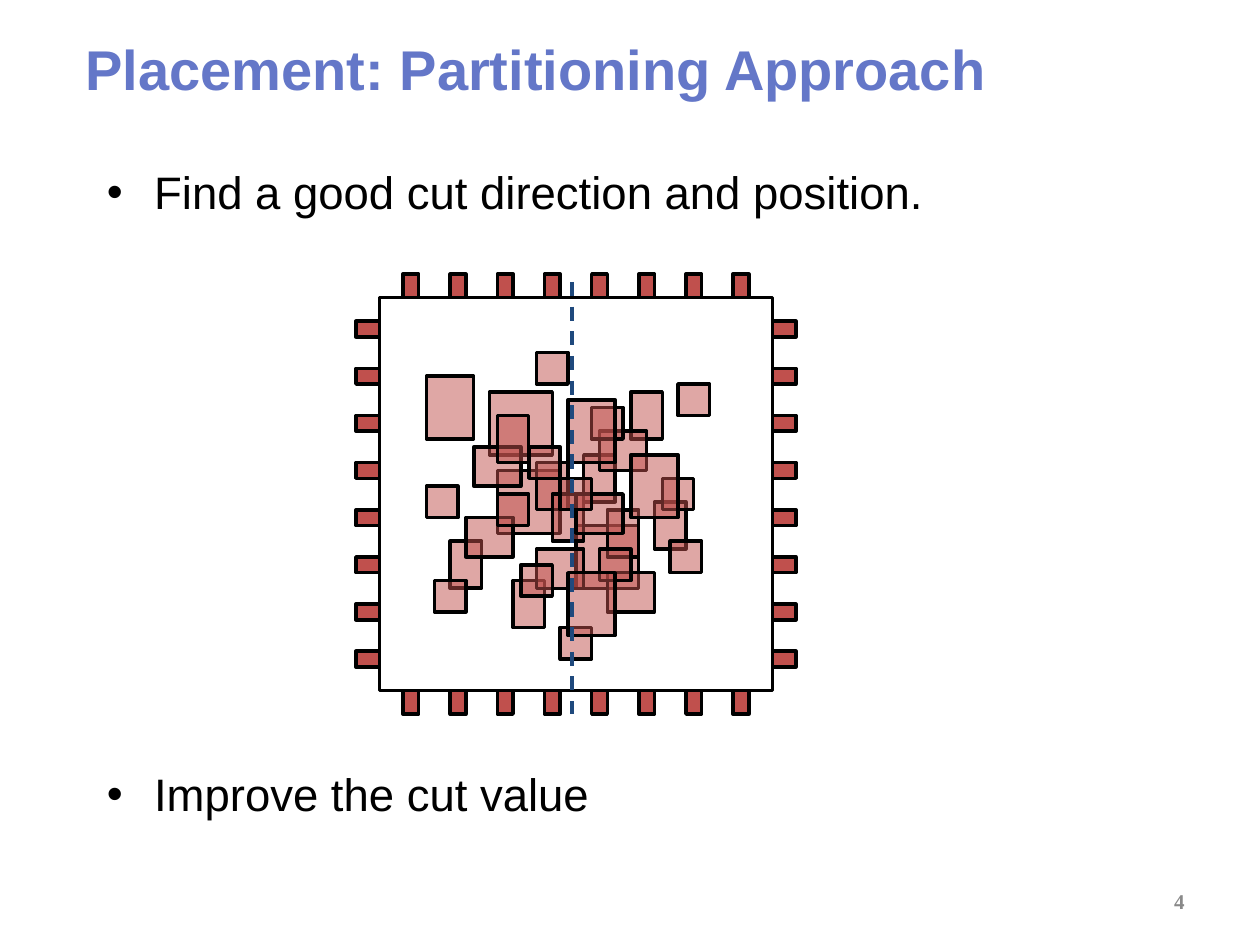
from lxml.etree import SubElement
from pptx import Presentation
from pptx.dml.color import RGBColor
from pptx.enum.dml import MSO_LINE
from pptx.enum.shapes import MSO_CONNECTOR, MSO_SHAPE
from pptx.enum.text import MSO_ANCHOR, MSO_AUTO_SIZE, PP_ALIGN
from pptx.oxml.ns import qn
from pptx.util import Cm, Pt

RED = "C0504D"
SIDE = 50  # grid units along one side of the die

# Cells on the die grid: (width, height) -> (left, top), from back to front
CELLS = [
    ((8, 8), [(14, 12), (25, 29), (15, 22)]),
    ((4, 6), [(29, 27), (20, 21), (22, 25), (26, 20), (32, 12),
              (17, 36), (9, 31), (35, 26)]),
    ((6, 5), [(28, 17), (29, 35), (11, 28), (12, 19), (25, 25), (20, 32)]),
    ((4, 4), [(23, 42), (15, 25), (19, 19), (23, 23), (27, 14), (20, 7),
              (36, 23), (28, 32), (18, 34), (6, 24)]),
    ((6, 8), [(6, 10), (24, 13), (24, 35), (32, 20)]),
    ((4, 4), [(7, 36)]),
    ((4, 6), [(15, 15)]),
    ((4, 4), [(38, 11), (37, 31)]),
]


def color(code):
    return RGBColor.from_string(code)


def place(shape, box):
    shape.left, shape.top, shape.width, shape.height = map(Cm, box)


def write(para, text, size, tint="000000", font="Arial", bold=False,
          align=PP_ALIGN.LEFT, before=0):
    para.text = text
    para.alignment = align
    para.space_before = Pt(before)
    para.font.size = Pt(size)
    para.font.name = font
    para.font.bold = bold
    para.font.color.rgb = color(tint)


def setup(frame, anchor):
    frame.word_wrap = True
    frame.auto_size = MSO_AUTO_SIZE.NONE
    frame.vertical_anchor = anchor


def head(slide, box, text):
    title = slide.shapes.title
    place(title, box)
    setup(title.text_frame, MSO_ANCHOR.MIDDLE)
    write(title.text_frame.paragraphs[0], text, 32, tint="6477C8", bold=True)


def points(slide, box, items, gap):
    body = slide.placeholders[1]
    place(body, box)
    frame = body.text_frame
    setup(frame, MSO_ANCHOR.TOP)
    for i, item in enumerate(items):
        para = frame.add_paragraph() if i else frame.paragraphs[0]
        write(para, item, 26, before=gap if i else 0)


def number(slide, box, text):
    frame = slide.shapes.add_textbox(*map(Cm, box)).text_frame
    setup(frame, MSO_ANCHOR.MIDDLE)
    write(frame.paragraphs[0], text, 12, tint="898989",
          font="Times New Roman", bold=True, align=PP_ALIGN.RIGHT)


def block(group, box, fill=None, alpha=None):
    shape = group.shapes.add_shape(MSO_SHAPE.RECTANGLE, *map(Cm, box))
    shape.shadow.inherit = False
    if fill:
        shape.fill.solid()
        shape.fill.fore_color.rgb = color(fill)
    else:
        shape.fill.background()
    if alpha:
        tint = shape.element.spPr.find(qn("a:solidFill"))[0]
        SubElement(tint, qn("a:alpha"), val=str(alpha * 1000))
    shape.line.color.rgb = color("000000")
    shape.line.width = Pt(2)


def cut(group, x, top, bottom):
    """Draw the dashed cut line."""
    line = group.shapes.add_connector(
        MSO_CONNECTOR.STRAIGHT, Cm(x), Cm(top), Cm(x), Cm(bottom))
    line.line.color.rgb = color("1F497D")
    line.line.width = Pt(2)
    line.line.dash_style = MSO_LINE.DASH
    SubElement(line.element.spPr, qn("a:effectLst"))


def chip(slide, left, top, size):
    """Draw the die with its cells, its pads and the cut line."""
    unit = size / SIDE
    group = slide.shapes.add_group_shape()

    def grid(x, y, wide, high):
        return left + x * unit, top + y * unit, wide * unit, high * unit

    block(group, (left, top, size, size))
    for dims, spots in CELLS:
        for spot in spots:
            block(group, grid(*spot, *dims), RED, alpha=50)

    steps = range(3, SIDE, 6)
    for edge in (SIDE, -3):
        for step in steps:
            block(group, grid(step, edge, 2, 3), RED)
    for edge in (-3, SIDE):
        for step in reversed(steps):
            block(group, grid(edge, step, 3, 2), RED)

    cut(group, left + 24.5 * unit, top - 2 * unit, top + 53 * unit)


def main():
    deck = Presentation()
    deck.slide_width, deck.slide_height = Cm(25.4), Cm(19.05)
    slide = deck.slides.add_slide(deck.slide_layouts[1])
    number(slide, (18.21, 17.65, 5.92, 1.02), "4")
    head(slide, (1.47, 0.64, 22.66, 1.47), "Placement: Partitioning Approach")
    points(slide, (1.9, 3.18, 22.02, 13.77),
           ["Find a good cut direction and position.",
            "Improve the cut value"], gap=313)
    chip(slide, 7.65, 6, 7.92)
    deck.save("out.pptx")


if __name__ == "__main__":
    main()
